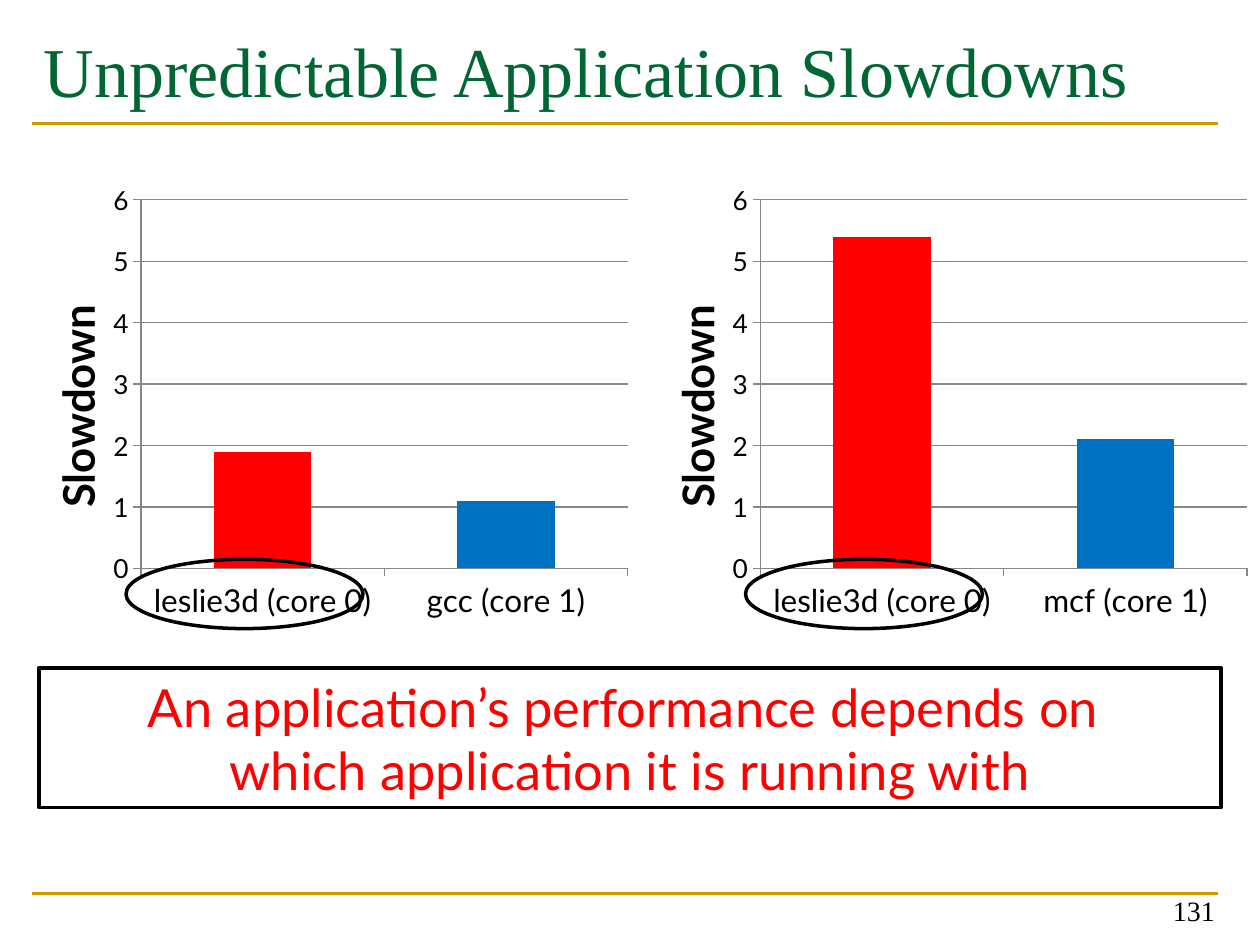
import pptx
import pptx.chart.data
import pptx.dml.color
import pptx.enum.chart
import pptx.enum.shapes
import pptx.enum.text
import pptx.oxml
import pptx.oxml.ns
import pptx.util

Pt = pptx.util.Pt
ALIGN = pptx.enum.text.PP_ALIGN
ANCHOR = pptx.enum.text.MSO_ANCHOR
SHAPE = pptx.enum.shapes.MSO_SHAPE
SERIF, SANS = "Times New Roman", "Lato"
BLACK, RED, BLUE, GRAY = "000000", "FF0000", "0070C0", "868686"


def color(value):
    return pptx.dml.color.RGBColor.from_string(value)


def set_font(font, size, name=SANS, fill=BLACK, bold=False):
    font.size, font.name, font.bold = Pt(size), name, bold
    font.color.rgb = color(fill)


def write_text(frame, text, size, name=SANS, fill=BLACK, align=ALIGN.LEFT,
               anchor=ANCHOR.TOP):
    frame.word_wrap = True
    frame.vertical_anchor = anchor
    frame.text = text
    for paragraph in frame.paragraphs:
        paragraph.alignment = align
        set_font(paragraph.font, size, name, fill)


def add_rule(slide, left, top, width):
    rule = slide.shapes.add_connector(
        pptx.enum.shapes.MSO_CONNECTOR.STRAIGHT,
        Pt(left), Pt(top), Pt(left + width), Pt(top))
    rule.line.color.rgb = color("CC9900")
    rule.line.width = Pt(1.5)
    properties = rule._element.spPr
    properties.append(pptx.oxml.parse_xml(
        f"<a:effectLst {pptx.oxml.ns.nsdecls('a')}/>"))


def add_outline(slide, kind, left, top, width, height):
    outline = slide.shapes.add_shape(kind, Pt(left), Pt(top), Pt(width), Pt(height))
    outline.shadow.inherit = False
    outline.fill.background()
    outline.line.color.rgb = color(BLACK)
    outline.line.width = Pt(2)
    return outline


def set_layout(parent, position, **fractions):
    """Place a chart part at fixed fractions of the chart."""
    for old in parent.xpath("./c:layout"):
        parent.remove(old)
    modes = "".join(f'<c:{axis}Mode val="edge"/>' for axis in "xy")
    sizes = "".join(f'<c:{key} val="{value}"/>' for key, value in fractions.items())
    target = '<c:layoutTarget val="inner"/>' if "w" in fractions else ""
    parent.insert(position, pptx.oxml.parse_xml(
        f"<c:layout {pptx.oxml.ns.nsdecls('c')}><c:manualLayout>"
        f"{target}{modes}{sizes}</c:manualLayout></c:layout>"))


def style_axis(axis, size):
    set_font(axis.tick_labels.font, size)
    axis.major_tick_mark = pptx.enum.chart.XL_TICK_MARK.OUTSIDE
    axis.minor_tick_mark = pptx.enum.chart.XL_TICK_MARK.NONE
    axis.format.line.color.rgb = color(GRAY)
    axis.format.line.width = Pt(0.75)


def add_slowdown_panel(slide, left, top, width, height, slowdowns):
    # Column chart
    data = pptx.chart.data.CategoryChartData()
    data.categories = list(slowdowns)
    data.add_series("Series 1", list(slowdowns.values()))
    chart = slide.shapes.add_chart(
        pptx.enum.chart.XL_CHART_TYPE.COLUMN_CLUSTERED,
        Pt(left), Pt(top), Pt(width), Pt(height), data).chart
    chart.has_legend = False
    chart.has_title = False
    set_font(chart.font, 10)
    plot = chart.plots[0]
    plot.gap_width = 150
    plot.vary_by_categories = False
    for index, fill in enumerate((RED, BLUE)):
        bar = plot.series[0].points[index].format.fill
        bar.solid()
        bar.fore_color.rgb = color(fill)

    # Axes
    style_axis(chart.category_axis, 18)
    slowdown_axis = chart.value_axis
    style_axis(slowdown_axis, 15)
    slowdown_axis.minimum_scale, slowdown_axis.maximum_scale = 0, 6
    slowdown_axis.major_unit = 1
    slowdown_axis.tick_labels.number_format = "General"
    slowdown_axis.tick_labels.number_format_is_linked = False
    slowdown_axis.has_major_gridlines = True
    gridline = slowdown_axis.major_gridlines.format.line
    gridline.color.rgb = color(GRAY)
    gridline.width = Pt(0.75)

    # Axis title, turned to read upwards
    heading = slowdown_axis.axis_title
    heading.text_frame.text = "Slowdown"
    set_font(heading.text_frame.paragraphs[0].runs[0].font, 25, bold=True)
    title_element = heading._element
    body = title_element.xpath(".//a:bodyPr")[0]
    body.set("rot", "-5400000")
    body.set("vert", "horz")
    set_layout(title_element, 1, x=0.06, y=0.27)
    set_layout(chart._chartSpace.xpath(".//c:plotArea")[0], 0,
               x=0.22, y=0.055, w=0.76, h=0.815)

    # Ring around the first application
    add_outline(slide, SHAPE.OVAL, left + 72, top + 219.6, 135.4, 39.6)


def add_header(slide, left, top, width, height):
    title = slide.shapes.add_textbox(Pt(left), Pt(top), Pt(width), Pt(height))
    write_text(title.text_frame, "Unpredictable Application Slowdowns", 40,
               name=SERIF, fill="006633")
    add_rule(slide, left, 70.6, width)


def add_footer(slide, left, top, width, height):
    add_rule(slide, left, top + 13, width)
    number = slide.shapes.add_textbox(
        Pt(left + width - 162.7), Pt(top), Pt(167.8), Pt(height))
    write_text(number.text_frame, "131", 16, name=SERIF, align=ALIGN.RIGHT,
               anchor=ANCHOR.BOTTOM)


def add_conclusion(slide, left, top, width, height):
    conclusion = add_outline(slide, SHAPE.RECTANGLE, left, top, width, height)
    write_text(conclusion.text_frame,
               "An application’s performance depends on \n"
               "which application it is running with",
               30, fill=RED, align=ALIGN.CENTER, anchor=ANCHOR.MIDDLE)


def main():
    deck = pptx.Presentation()
    deck.slide_width, deck.slide_height = Pt(720), Pt(540)
    slide = deck.slides.add_slide(deck.slide_layouts[6])
    add_header(slide, 18, 12.2, 678.2, 84.2)
    panels = ({"leslie3d (core 0)": 1.9, "gcc (core 1)": 1.1},
              {"leslie3d (core 0)": 5.4, "mcf (core 1)": 2.1})
    for index, slowdowns in enumerate(panels):
        add_slowdown_panel(slide, index * 354, 100, 366, 258.5, slowdowns)
    add_conclusion(slide, 22.3, 381.6, 675.4, 80)
    add_footer(slide, 18, 497.5, 678.2, 36)
    deck.save("out.pptx")


if __name__ == "__main__":
    main()
